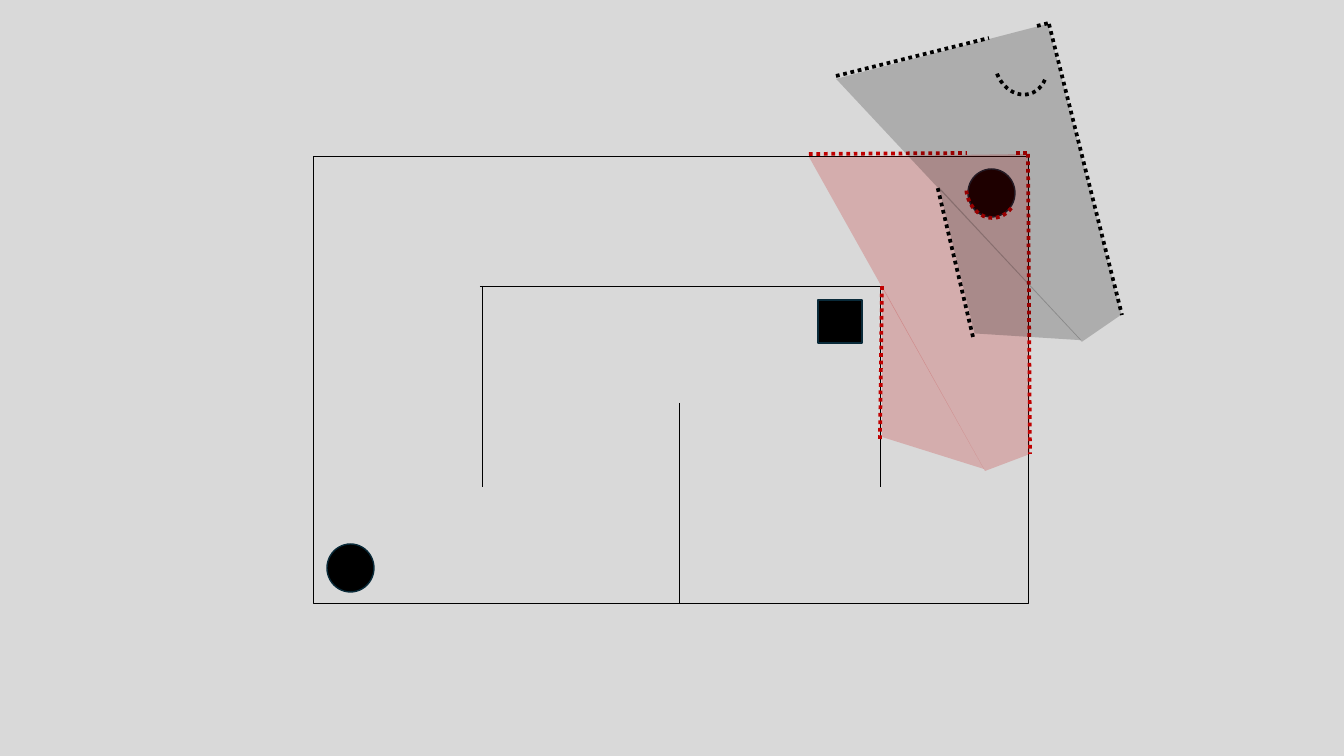
from pptx import Presentation
from pptx.dml.color import RGBColor
from pptx.enum.dml import MSO_LINE
from pptx.enum.shapes import MSO_CONNECTOR, MSO_SHAPE
from pptx.oxml.ns import qn
from pptx.util import Pt
from lxml import etree

PX = 914400 / 67.2
STRAIGHT = MSO_CONNECTOR.STRAIGHT
RECTANGLE, OVAL, ARC = MSO_SHAPE.RECTANGLE, MSO_SHAPE.OVAL, MSO_SHAPE.ARC
DOTTED = MSO_LINE.ROUND_DOT


def px(length):
    """Turn pixels into EMU."""
    return round(length * PX)


def color(value):
    """Turn a hex string into a colour."""
    return RGBColor.from_string(value)


class Plan:
    """Hold the slide's style and draw its elements in one group."""

    ground, ink, edge, red = "D9D9D9", "000000", "092A39", "C00000"
    opacity = 20

    def __init__(self, slide):
        """Paint the background and open the group."""
        slide.background.fill.solid()
        slide.background.fill.fore_color.rgb = color(self.ground)
        self.shapes = slide.shapes.add_group_shape().shapes

    def stroke(self, line, value, width, dotted=False):
        """Format a line or an outline."""
        line.color.rgb = color(value)
        line.width = Pt(width)
        if dotted:
            line.dash_style = DOTTED

    def shape(self, kind, bounds, fill, outline, width):
        """Draw a filled preset shape."""
        shape = self.shapes.add_shape(kind, *map(px, bounds))
        shape.shadow.inherit = False
        shape.fill.solid()
        shape.fill.fore_color.rgb = color(fill)
        self.stroke(shape.line, outline, width)

    def line(self, ends, value, width=1, dotted=False):
        """Draw a straight wall or a dotted scan line."""
        line = self.shapes.add_connector(STRAIGHT, *map(px, ends))
        etree.SubElement(line._element.spPr, qn("a:effectLst"))
        self.stroke(line.line, value, width, dotted)

    def arc(self, bounds, rotation, value):
        """Draw a dotted arc."""
        arc = self.shapes.add_shape(ARC, *map(px, bounds))
        arc.shadow.inherit = False
        arc.adjustments[0] = 138.41
        arc.adjustments[1] = 0
        arc.rotation = rotation
        arc.fill.background()
        self.stroke(arc.line, value, 4, dotted=True)

    def area(self, points, offset, rotation, value):
        """Draw a see-through polygon, shifted and turned."""
        builder = self.shapes.build_freeform(*points[0], scale=PX)
        builder.add_line_segments(points[1:], close=True)
        area = builder.convert_to_shape(*map(px, offset))
        area.shadow.inherit = False
        area.rotation = rotation
        area.line.fill.background()
        area.fill.solid()
        area.fill.fore_color.rgb = color(value)
        tint = area._element.spPr.find(qn("a:solidFill"))[0]
        etree.SubElement(tint, qn("a:alpha"), val=str(self.opacity * 1000))


def draw_room(plan):
    """Draw the room, its walls and its obstacles."""
    plan.shape(RECTANGLE, (313, 156, 715, 448), plan.ground, plan.ink, 1)
    for wall in ((482, 286, 482, 487), (679, 403, 679, 604),
                 (880, 286, 880, 487), (480, 286, 880, 286)):
        plan.line(wall, plan.ink)
    for kind, bounds in ((OVAL, (327, 544, 47, 48)), (OVAL, (968, 169, 47, 48)),
                         (RECTANGLE, (818, 300, 44, 43))):
        plan.shape(kind, bounds, plan.ink, plan.edge, 1.5)


def draw_scan(plan, value, offsets, rotation, edges, arc, arc_rotation):
    """Draw one scan: two areas, their dotted edges and the arc."""
    areas = (((809, 157), (1028, 154), (1030, 454), (985, 471)),
             ((882, 437), (882, 286), (984, 469)))
    for points, offset in zip(areas, offsets):
        plan.area(points, offset, rotation, value)
    for edge in edges:
        plan.line(edge, value, 4, dotted=True)
    plan.arc(arc, arc_rotation, value)


def main():
    """Build and save the deck."""
    deck = Presentation()
    deck.slide_width, deck.slide_height = px(1344), px(756)
    plan = Plan(deck.slides.add_slide(deck.slide_layouts[6]))
    draw_room(plan)
    draw_scan(plan, plan.red, ((0, 0), (0, 0)), 0,
              ((809, 154, 967, 153), (1028, 154, 1030, 454),
               (1016, 153, 1028, 153), (880, 439, 882, 284)),
              (966, 155, 52, 63), 177.4)
    draw_scan(plan, plan.ink, ((61, -109), (77, -114)), 346.2,
              ((836, 76, 989, 38), (1049, 24, 1122, 315),
               (1037, 26, 1049, 23), (973, 337, 937, 185)),
              (995, 32, 52, 63), 163.6)
    deck.save("out.pptx")


if __name__ == "__main__":
    main()
